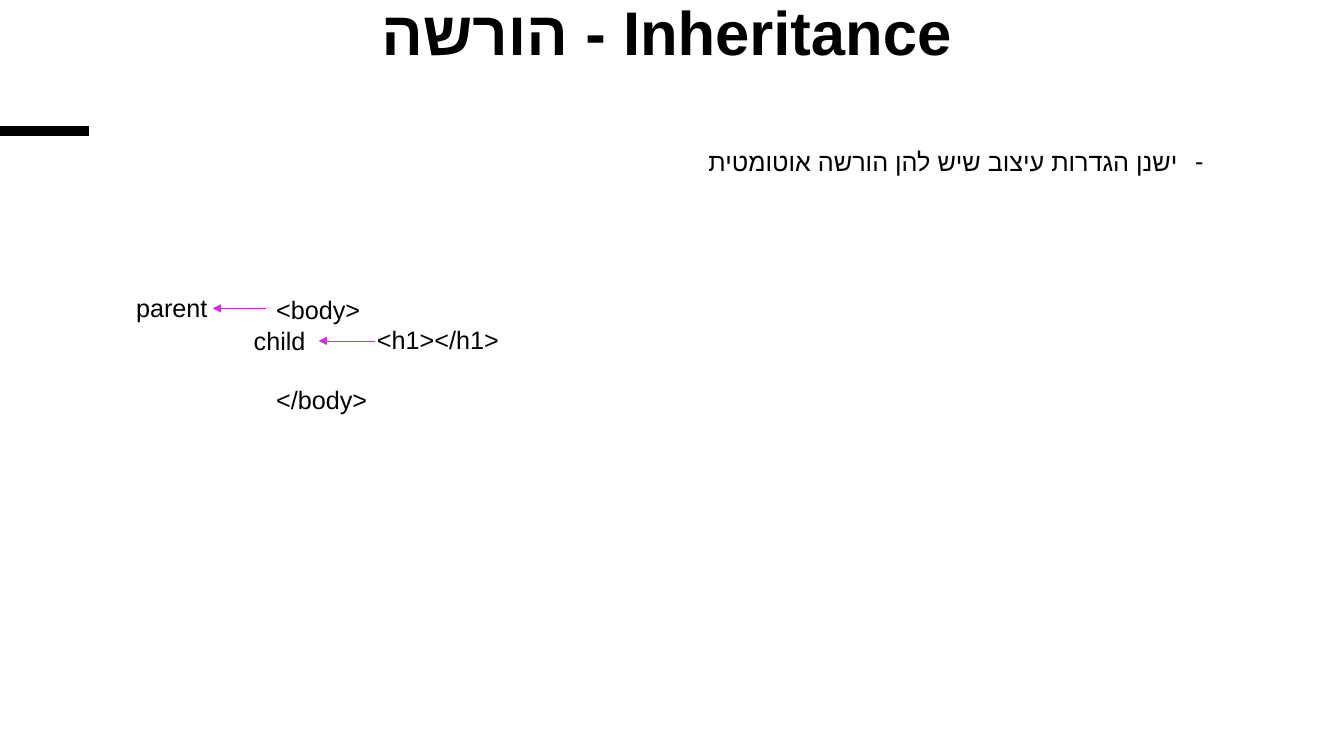
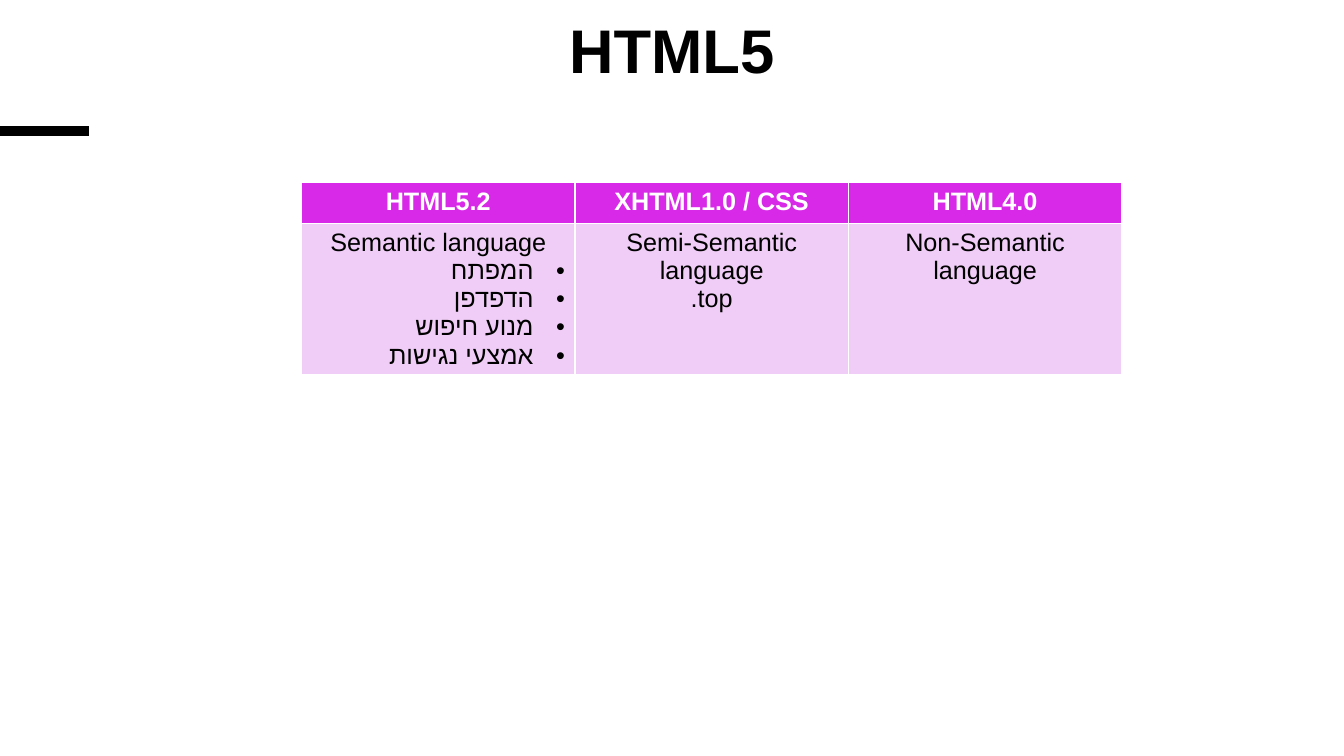
"""Build two slides on HTML inheritance and HTML versions."""
from dataclasses import dataclass

from lxml import etree
from pptx import Presentation
from pptx import util as u
from pptx.dml.color import RGBColor
from pptx.enum import shapes, text
from pptx.oxml import ns

COLORS = {"text": "000000", "accent": "D729E7", "cell": "F0CDF6", "white": "FFFFFF"}
FONT = "Arial"
BODY_SIZE = 18
CONTENT_W = 27.56
TITLE_H = 3.61
COL_W = 6.89
Cm = u.Cm
RIGHT = text.PP_ALIGN.RIGHT
CENTER = text.PP_ALIGN.CENTER


@dataclass(frozen=True)
class Label:
    caption: str
    x: float
    y: float
    w: float


@dataclass(frozen=True)
class Line:
    x1: float
    x2: float
    y: float
    width: float
    color: str
    arrow: bool = False


@dataclass(frozen=True)
class Version:
    name: str
    notes: tuple[str, ...]
    bullets: tuple[str, ...] = ()


BAR = Line(0, 2.24, 3.3, 6.75, "text")
ARROWS = (
    Line(6.71, 5.36, 7.77, 0.5, "accent", True),
    Line(9.45, 8.03, 8.59, 0.5, "accent", True),
)
LABELS = (Label("parent", 3.02, 7.24, 2.46), Label("child", 6.05, 8.08, 1.9))
VERSIONS = (
    Version("HTML5.2", ("Semantic language",),
            ("המפתח", "הדפדפן", "מנוע חיפוש", "אמצעי נגישות")),
    Version("XHTML1.0 / CSS", ("Semi-Semantic language", ".top")),
    Version("HTML4.0", ("Non-Semantic language",)),
)


def rgb(name: str) -> RGBColor:
    return RGBColor.from_string(COLORS[name])


def style(p, size: float = BODY_SIZE, color: str = "text", bold: bool = False,
          align=None) -> None:
    p.alignment = align
    for r in p.runs:
        r.font.size = u.Pt(size)
        r.font.bold = bold
        r.font.color.rgb = rgb(color)
        r.font.name = FONT
        cs = etree.SubElement(r.font._element, ns.qn("a:cs"))
        cs.set("typeface", FONT)


def set_indent(p, left: float, first: float = 0) -> None:
    pPr = p._p.get_or_add_pPr()
    pPr.set("marL", str(Cm(left)))
    pPr.set("indent", str(Cm(first)))


def set_rtl(p) -> None:
    p._p.get_or_add_pPr().set("rtl", "1")


def set_bullet(p, char: str, hang: float) -> None:
    set_rtl(p)
    set_indent(p, hang, -hang)
    pPr = p._p.get_or_add_pPr()
    etree.SubElement(pPr, ns.qn("a:buFont")).set("typeface", FONT)
    etree.SubElement(pPr, ns.qn("a:buChar")).set("char", char)


def place(sp, x: float, y: float, w: float, h: float) -> None:
    sp.left, sp.top, sp.width, sp.height = Cm(x), Cm(y), Cm(w), Cm(h)


def add_line(s, line: Line):
    sp = s.shapes.add_connector(shapes.MSO_CONNECTOR.STRAIGHT, Cm(line.x1), Cm(line.y),
                                Cm(line.x2), Cm(line.y))
    sp.line.width = u.Pt(line.width)
    sp.line.color.rgb = rgb(line.color)
    if line.arrow:
        ln = sp.line._get_or_add_ln()
        etree.SubElement(ln, ns.qn("a:tailEnd")).set("type", "triangle")
    etree.SubElement(sp.element.spPr, ns.qn("a:effectLst"))
    return sp


def add_master_bar(prs, s) -> None:
    bar = add_line(s, BAR).element
    bar.nvCxnSpPr.cNvPr.set("id", "20")
    prs.slide_master.element.cSld.spTree.append(bar)


def add_slide(prs, layout: int, title: str, x: float, y: float):
    s = prs.slides.add_slide(prs.slide_layouts[layout])
    sp = s.shapes.title
    place(sp, x, y, CONTENT_W, TITLE_H)
    tf = sp.text_frame
    tf.text = title
    tf.vertical_anchor = text.MSO_ANCHOR.TOP
    tf.auto_size = text.MSO_AUTO_SIZE.NONE
    p = tf.paragraphs[0]
    p.line_spacing = 0.85
    style(p, 44, bold=True, align=CENTER)
    return s


def add_body(s, line: str) -> None:
    sp = s.placeholders[1]
    place(sp, 3.02, 3.33, CONTENT_W, 14.12)
    tf = sp.text_frame
    tf.text = line
    tf.auto_size = text.MSO_AUTO_SIZE.NONE
    p = tf.paragraphs[0]
    p.line_spacing = 1.3
    p.space_before = u.Pt(10)
    style(p, align=RIGHT)
    set_bullet(p, "-", 0.64)


def add_code(s) -> None:
    sp = s.shapes.add_textbox(Cm(6.71), Cm(7.29), Cm(6.88), Cm(3.33))
    tf = sp.text_frame
    tf.word_wrap = True
    tf.text = "<body>\n<h1></h1>\n</body>"
    for p in tf.paragraphs:
        style(p)
    set_indent(tf.paragraphs[1], 2.54)
    tf.paragraphs[2].space_before = u.Pt(21)


def add_label(s, label: Label) -> None:
    sp = s.shapes.add_textbox(Cm(label.x), Cm(label.y), Cm(label.w), Cm(1.02))
    tf = sp.text_frame
    tf.word_wrap = False
    tf.auto_size = text.MSO_AUTO_SIZE.SHAPE_TO_FIT_TEXT
    tf.text = label.caption
    p = tf.paragraphs[0]
    style(p, align=RIGHT)
    set_rtl(p)


def fill_cell(cell, lines: tuple[str, ...], fill: str, color: str, bold: bool):
    cell.fill.solid()
    cell.fill.fore_color.rgb = rgb(fill)
    tf = cell.text_frame
    tf.text = "\n".join(lines)
    for p in tf.paragraphs:
        style(p, color=color, bold=bold, align=CENTER)
    return tf.paragraphs


def add_versions(s) -> None:
    n = len(VERSIONS)
    table = s.shapes.add_table(2, n, Cm(7.6), Cm(4.6), Cm(COL_W * n), Cm(4.53)).table
    for row, height in zip(table.rows, (1.03, 3.5)):
        row.height = Cm(height)
    for i, version in enumerate(VERSIONS):
        table.columns[i].width = Cm(COL_W)
        fill_cell(table.cell(0, i), (version.name,), "accent", "white", True)
        paragraphs = fill_cell(table.cell(1, i), version.notes + version.bullets,
                               "cell", "text", False)
        for p in paragraphs[len(version.notes):]:
            p.alignment = RIGHT
            set_bullet(p, "•", 0.79)


def main() -> None:
    prs = Presentation()
    prs.slide_width, prs.slide_height = Cm(33.87), Cm(19.05)

    s = add_slide(prs, 1, "הורשה - Inheritance", 3.02, 0)
    add_master_bar(prs, s)
    add_body(s, "ישנן הגדרות עיצוב שיש להן הורשה אוטומטית")
    add_code(s)
    for arrow in ARROWS:
        add_line(s, arrow)
    for label in LABELS:
        add_label(s, label)

    s = add_slide(prs, 5, "HTML5", 3.15, 0.46)
    add_versions(s)
    prs.save("out.pptx")


if __name__ == "__main__":
    main()
